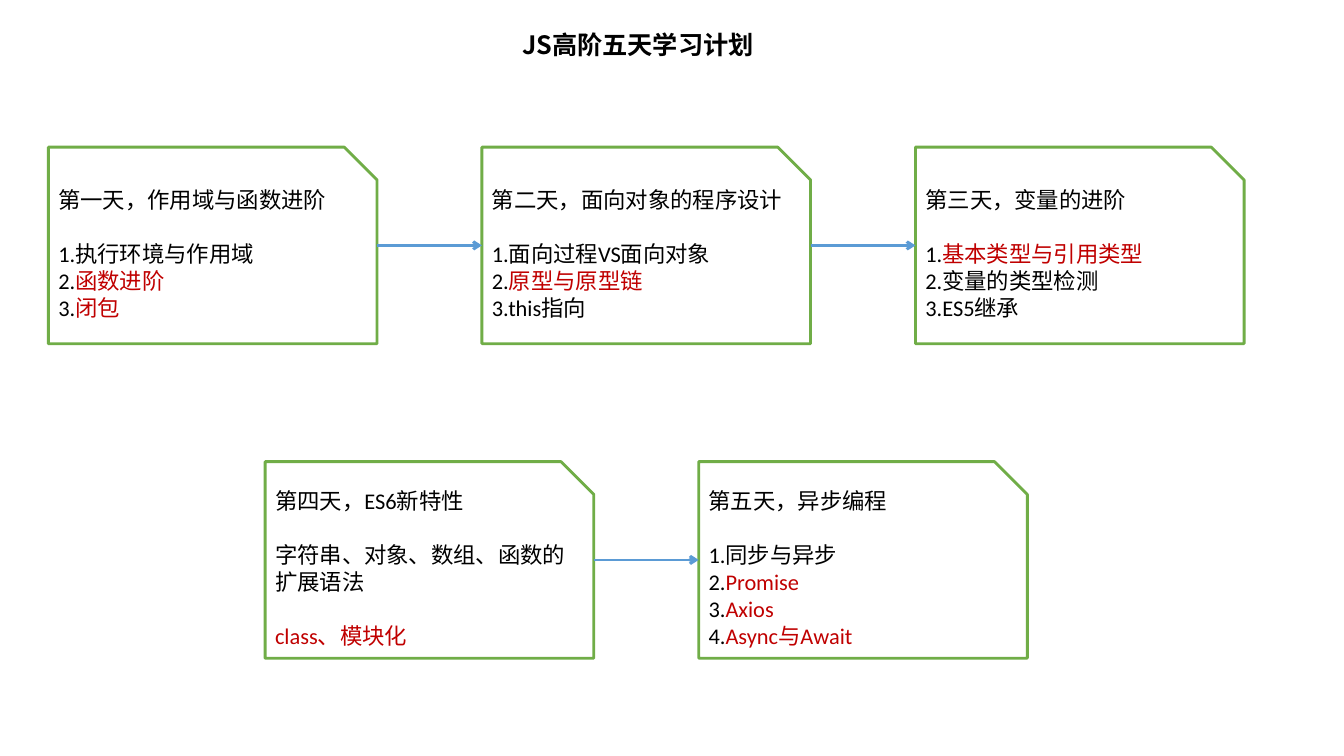
from lxml import etree
from pptx import Presentation
from pptx import util as u
from pptx.dml.color import RGBColor
from pptx.enum import shapes, text
from pptx.oxml.ns import qn

BLACK = RGBColor(0x00, 0x00, 0x00)
WHITE = RGBColor(0xFF, 0xFF, 0xFF)
RED = RGBColor(0xC0, 0x00, 0x00)
GREEN = RGBColor(0x70, 0xAD, 0x47)
BLUE = RGBColor(0x5B, 0x9B, 0xD5)

CARD_W, CARD_H, STEP = 3.26, 1.95, 4.3

# Each row: left, top, days. Each day: groups of lines, each line (plain, key).
ROWS = [
    (0.48, 1.46, [
        [[("第一天，作用域与函数进阶", "")],
         [("1.执行环境与作用域", ""), ("2.", "函数进阶"), ("3.", "闭包")]],
        [[("第二天，面向对象的程序设计", "")],
         [("1.面向过程VS面向对象", ""), ("2.", "原型与原型链"), ("3.this指向", "")]],
        [[("第三天，变量的进阶", "")],
         [("1.", "基本类型与引用类型"), ("2.变量的类型检测", ""), ("3.ES5继承", "")]],
    ]),
    (2.63, 4.58, [
        [[("第四天，ES6新特性", "")],
         [("字符串、对象、数组、函数的扩展语法", "")],
         [("", "class、模块化")]],
        [[("第五天，异步编程", "")],
         [("1.同步与异步", ""), ("2.", "Promise"), ("3.", "Axios"),
          ("4.", "Async与Await")]],
    ]),
]


class Plan:
    """Style and current slide of the study plan."""

    body = {"name": "Calibri", "size": u.Pt(16)}
    heading = {"name": "Noto Sans CJK SC", "size": u.Pt(18), "bold": True}
    line_width = u.Pt(2)
    group_gap = u.Pt(19.5)

    def __init__(self, slide):
        """Keep the slide to draw on."""
        self.s = slide

    def run(self, p, words, color, style):
        """Add one styled run to a paragraph."""
        r = p.add_run()
        r.text = words
        for key, value in style.items():
            setattr(r.font, key, value)
        r.font.color.rgb = color

    def title(self, words, x, y, w, h):
        """Add the slide heading."""
        tf = self.s.shapes.add_textbox(*map(u.Inches, (x, y, w, h))).text_frame
        tf.word_wrap = True
        tf.auto_size = text.MSO_AUTO_SIZE.SHAPE_TO_FIT_TEXT
        self.run(tf.paragraphs[0], words, BLACK, self.heading)

    def card(self, x, y, groups):
        """Add a day card with a snipped corner and its groups of lines."""
        sp = self.s.shapes.add_shape(
            shapes.MSO_SHAPE.SNIP_1_RECTANGLE,
            *map(u.Inches, (x, y, CARD_W, CARD_H)))
        sp.shadow.inherit = False
        sp.fill.solid()
        sp.fill.fore_color.rgb = WHITE
        sp.line.color.rgb = GREEN
        sp.line.width = self.line_width
        tf = sp.text_frame
        tf.word_wrap = True
        tf.vertical_anchor = text.MSO_ANCHOR.MIDDLE
        p = tf.paragraphs[0]
        for g, lines in enumerate(groups):
            for i, line in enumerate(lines):
                if g or i:
                    p = tf.add_paragraph()
                p.alignment = text.PP_ALIGN.LEFT
                if g and not i:
                    p.space_before = self.group_gap
                for words, color in zip(line, (BLACK, RED)):
                    if words:
                        self.run(p, words, color, self.body)

    def arrow(self, x1, x2, y):
        """Add a horizontal arrow."""
        c = self.s.shapes.add_connector(
            shapes.MSO_CONNECTOR.STRAIGHT, *map(u.Inches, (x1, y, x2, y)))
        c.line.color.rgb = BLUE
        c.line.width = self.line_width
        etree.SubElement(c.line._get_or_add_ln(), qn("a:tailEnd"), type="arrow")
        etree.SubElement(c._element.spPr, qn("a:effectLst"))


def main():
    """Build and save the slide."""
    prs = Presentation()
    prs.slide_width, prs.slide_height = u.Inches(13.33), u.Inches(7.5)
    plan = Plan(prs.slides.add_slide(prs.slide_layouts[6]))
    plan.title("JS高阶五天学习计划", 5.08, 0.24, 3.18, 0.4)
    for left, top, days in ROWS:
        for i, groups in enumerate(days):
            x = left + i * STEP
            plan.card(x, top, groups)
            if i:
                plan.arrow(x - STEP + CARD_W, x, top + CARD_H / 2)
    prs.save("out.pptx")


main()
